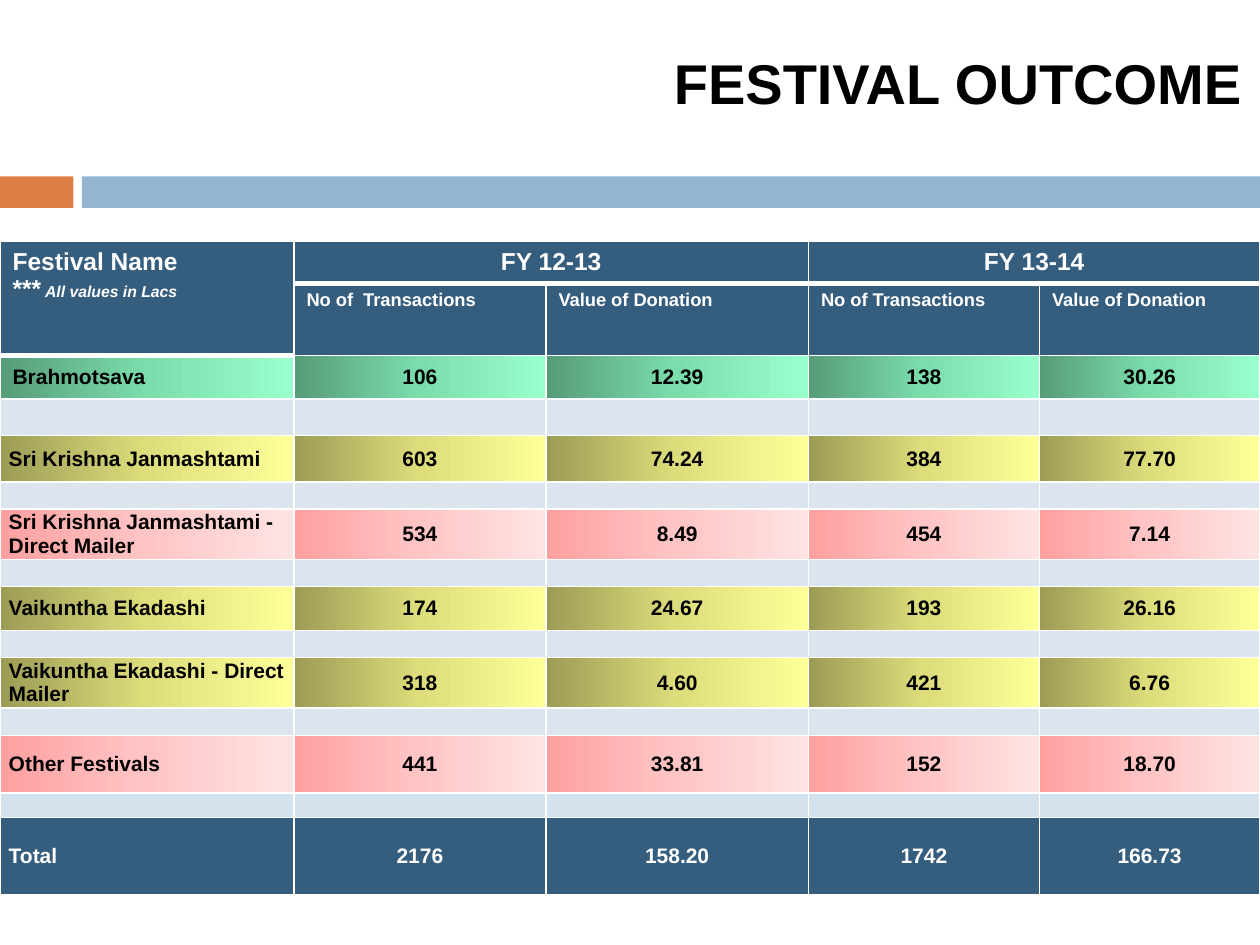
from dataclasses import dataclass

from lxml import etree
from pptx import Presentation
from pptx.dml.color import RGBColor
from pptx.enum import shapes, text
from pptx.oxml import ns
from pptx.util import Pt


@dataclass(frozen=True)
class Theme:
    font: str = "Arial"
    black: str = "000000"
    white: str = "FFFFFF"
    orange: str = "DD8047"
    blue: str = "94B6D2"
    navy: str = "355D7E"
    spacer: str = "DCE5EE"
    last_spacer: str = "D4E2ED"
    green: tuple = ("569C79", "7BDDAC", "99FFCC")
    yellow: tuple = ("9C9C56", "DDDD7B", "FFFF99")
    pink: tuple = ("FFA0A0", "FFC5C5", "FFE3E3")
    title_size: float = 32
    header_size: float = 14
    body_size: float = 12
    subheader_size: float = 10.5
    note_size: float = 9
    spacer_size: float = 8


THEME = Theme()
LEFT, CENTER = text.PP_ALIGN.LEFT, text.PP_ALIGN.CENTER
COLUMN_WIDTHS = (168, 144, 150, 132, 126)
ROW_HEIGHTS = (24, 41, 25, 21, 26.5, 15.5, 28.5, 15.5, 25, 15.5, 29, 15.5, 33, 14, 44)
SUBHEADERS = ("No of  Transactions", "Value of Donation",
              "No of Transactions", "Value of Donation")
FESTIVALS = (
    (("Brahmotsava", "106", "12.39", "138", "30.26"), THEME.green),
    (("Sri Krishna Janmashtami", "603", "74.24", "384", "77.70"), THEME.yellow),
    (("Sri Krishna Janmashtami - Direct Mailer", "534", "8.49", "454", "7.14"), THEME.pink),
    (("Vaikuntha Ekadashi", "174", "24.67", "193", "26.16"), THEME.yellow),
    (("Vaikuntha Ekadashi - Direct Mailer", "318", "4.60", "421", "6.76"), THEME.yellow),
    (("Other Festivals", "441", "33.81", "152", "18.70"), THEME.pink),
    (("Total", "2176", "158.20", "1742", "166.73"), THEME.navy),
)


def add_text(paragraph, content, size=THEME.body_size, color=THEME.black,
             italic=False, align=LEFT):
    paragraph.alignment = align
    run = paragraph.add_run()
    run.text = content
    font = run.font
    font.name, font.size, font.bold, font.italic = THEME.font, Pt(size), True, italic
    font.color.rgb = RGBColor.from_string(color)


def add_child(parent, tag, **attributes):
    return etree.SubElement(parent, ns.qn(tag), attributes)


def add_color(parent, color):
    add_child(parent, "a:srgbClr", val=color)


def add_bar(slide, left, width, color):
    bar = slide.shapes.add_shape(shapes.MSO_SHAPE.RECTANGLE,
                                 Pt(left), Pt(100.8), Pt(width), Pt(18))
    bar.shadow.inherit = False
    bar.fill.solid()
    bar.fill.fore_color.rgb = RGBColor.from_string(color)
    bar.line.fill.background()


def add_title(slide, content):
    box = slide.shapes.add_textbox(Pt(378), Pt(24), Pt(342), Pt(46))
    frame = box.text_frame
    frame.word_wrap = False
    frame.auto_size = text.MSO_AUTO_SIZE.SHAPE_TO_FIT_TEXT
    add_text(frame.paragraphs[0], content, size=THEME.title_size)


def style_cell(cell, fill, top=1, bottom=1):
    properties = cell._tc.get_or_add_tcPr()
    for side, width in (("L", 1), ("R", 1), ("T", top), ("B", bottom)):
        line = add_child(properties, f"a:ln{side}", w=str(Pt(width)))
        add_color(add_child(line, "a:solidFill"), THEME.white)
    if isinstance(fill, str):
        cell.fill.solid()
        cell.fill.fore_color.rgb = RGBColor.from_string(fill)
        return
    gradient = add_child(properties, "a:gradFill", rotWithShape="1")
    stops = add_child(gradient, "a:gsLst")
    for position, color in zip((0, 50000, 100000), fill):
        add_color(add_child(stops, "a:gs", pos=str(position)), color)
    add_child(gradient, "a:lin", ang="0", scaled="0")


def set_body_layout(cell, side=5):
    cell.vertical_anchor = text.MSO_ANCHOR.MIDDLE
    cell.margin_left = cell.margin_right = Pt(side)
    cell.margin_top = cell.margin_bottom = 0


def fill_header(table):
    for column in range(5):
        style_cell(table.cell(0, column), THEME.navy, bottom=3)
        merged = column == 0
        style_cell(table.cell(1, column), THEME.navy,
                   top=1 if merged else 3, bottom=3 if merged else 1)
    name = table.cell(0, 0)
    name.merge(table.cell(1, 0))
    header = {"size": THEME.header_size, "color": THEME.white}
    add_text(name.text_frame.paragraphs[0], "Festival Name", **header)
    note = name.text_frame.add_paragraph()
    add_text(note, "***", **header)
    add_text(note, " All values in Lacs", size=THEME.note_size,
             color=THEME.white, italic=True)
    for column, year in ((1, "FY 12-13"), (3, "FY 13-14")):
        cell = table.cell(0, column)
        cell.merge(table.cell(0, column + 1))
        add_text(cell.text_frame.paragraphs[0], year, align=CENTER, **header)
    for column, label in enumerate(SUBHEADERS, 1):
        add_text(table.cell(1, column).text_frame.paragraphs[0], label,
                 size=THEME.subheader_size, color=THEME.white)


def fill_festival(table, row, values, fill):
    color = THEME.white if fill == THEME.navy else THEME.black
    for column, value in enumerate(values):
        cell = table.cell(row, column)
        first = row == 2 and column == 0
        style_cell(cell, fill, top=3 if first else 1)
        set_body_layout(cell, side=7.2 if first else 5)
        add_text(cell.text_frame.paragraphs[0], value, color=color,
                 align=CENTER if column else LEFT)


def fill_spacer(table, row, fill):
    for column in range(5):
        cell = table.cell(row, column)
        style_cell(cell, fill)
        set_body_layout(cell)
        add_child(cell.text_frame.paragraphs[0]._p, "a:endParaRPr",
                  sz=str(THEME.spacer_size * 100))


def add_festival_table(slide):
    frame = slide.shapes.add_table(len(ROW_HEIGHTS), len(COLUMN_WIDTHS), 0, Pt(138),
                                   Pt(sum(COLUMN_WIDTHS)), Pt(sum(ROW_HEIGHTS)))
    table = frame.table
    table.horz_banding = False
    for column, width in zip(table.columns, COLUMN_WIDTHS):
        column.width = Pt(width)
    for row, height in zip(table.rows, ROW_HEIGHTS):
        row.height = Pt(height)
    fill_header(table)
    last_spacer = len(ROW_HEIGHTS) - 2
    for index, (values, fill) in enumerate(FESTIVALS):
        row = 2 + 2 * index
        fill_festival(table, row, values, fill)
        if row < last_spacer:
            spacer = row + 1
            fill_spacer(table, spacer,
                        THEME.last_spacer if spacer == last_spacer else THEME.spacer)


def main():
    presentation = Presentation()
    presentation.slide_width, presentation.slide_height = Pt(720), Pt(540)
    slide = presentation.slides.add_slide(presentation.slide_layouts[6])
    add_bar(slide, 0, 42, THEME.orange)
    add_bar(slide, 46.8, 673.2, THEME.blue)
    add_title(slide, "FESTIVAL OUTCOME")
    add_festival_table(slide)
    presentation.save("out.pptx")


if __name__ == "__main__":
    main()
